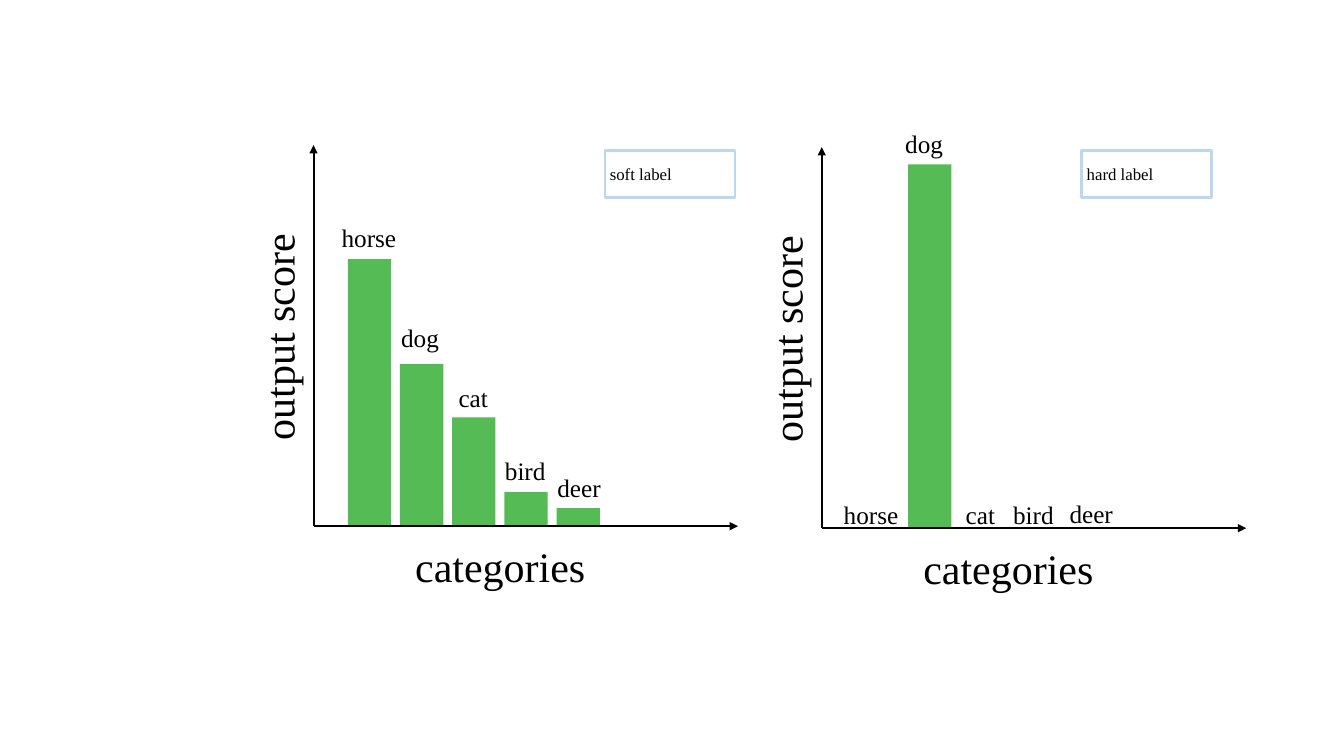
from dataclasses import dataclass

from lxml.etree import SubElement
from pptx import Presentation
from pptx.dml.color import RGBColor
from pptx.enum.shapes import MSO_CONNECTOR as Connector, MSO_SHAPE as Shape
from pptx.enum.text import MSO_ANCHOR as Anchor
from pptx.oxml.ns import qn
from pptx.shapes.shapetree import GroupShapes
from pptx.util import Inches, Pt

COLORS = {"bar": "55BB55", "ink": "000000", "legend": "BDD7EE"}
FONT = "Times New Roman"
BAR_WIDTH = 0.43
BAR_PITCH = 2.07 / 4
FIRST_BAR = 0.34
AXIS_WIDTH, AXIS_HEIGHT = 4.21, 3.78


@dataclass
class Category:
    name: str
    score: float  # bar height in inches
    left: float
    top: float
    width: float


@dataclass
class Panel:
    legend: str
    legend_left: float
    origin_x: float
    origin_y: float
    categories: list[Category]


PANELS = [
    Panel("soft label", 6.0, 3.11, 5.22, [
        Category("horse", 2.65, 3.29, 2.16, 1.06),
        Category("dog", 1.61, 3.88, 3.15, 1.06),
        Category("cat", 1.08, 4.45, 3.74, 0.53),
        Category("bird", 0.34, 4.91, 4.47, 0.76),
        Category("deer", 0.18, 5.43, 4.64, 0.76),
    ]),
    Panel("hard label", 10.73, 8.15, 5.24, [
        Category("horse", 0, 8.27, 4.9, 1.06),
        Category("dog", 3.61, 8.88, 1.22, 0.59),
        Category("cat", 0, 9.48, 4.9, 0.53),
        Category("bird", 0, 9.95, 4.9, 0.76),
        Category("deer", 0, 10.51, 4.89, 0.76),
    ]),
]


def color(name: str) -> RGBColor:
    return RGBColor.from_string(COLORS[name])


def add_text(shapes: GroupShapes, text: str, left: float, top: float,
             width: float, height: float, size: float, rotation: float = 0) -> None:
    box = shapes.add_textbox(Inches(left), Inches(top), Inches(width), Inches(height))
    box.rotation = rotation
    frame = box.text_frame
    frame.word_wrap = True
    frame.vertical_anchor = Anchor.MIDDLE
    frame.text = text
    font = frame.paragraphs[0].runs[0].font
    font.name, font.size = FONT, Pt(size)
    font.color.rgb = color("ink")


def add_rectangle(shapes: GroupShapes, left: float, top: float, width: float,
                  height: float, fill: str = "", line: str = "") -> None:
    shape = shapes.add_shape(Shape.RECTANGLE, Inches(left), Inches(top),
                             Inches(width), Inches(height))
    shape.shadow.inherit = False
    if fill:
        shape.fill.solid()
        shape.fill.fore_color.rgb = color(fill)
    else:
        shape.fill.background()
    if line:
        shape.line.color.rgb = color(line)
        shape.line.width = Pt(2)
    else:
        shape.line.fill.background()


def add_axis(shapes: GroupShapes, x: float, y: float, end_x: float, end_y: float) -> None:
    axis = shapes.add_connector(Connector.STRAIGHT, Inches(x), Inches(y),
                                Inches(end_x), Inches(end_y))
    axis.line.color.rgb = color("ink")
    axis.line.width = Pt(1.5)
    properties = axis.element.spPr
    SubElement(properties.find(qn("a:ln")), qn("a:tailEnd"), type="triangle")
    SubElement(properties, qn("a:effectLst"))


def add_panel(shapes: GroupShapes, panel: Panel) -> None:
    x, y = panel.origin_x, panel.origin_y

    # Bars
    for index, category in enumerate(panel.categories):
        if category.score:
            add_rectangle(shapes, x + FIRST_BAR + index * BAR_PITCH, y - category.score,
                          BAR_WIDTH, category.score, fill="bar")

    # Axes
    add_axis(shapes, x, y, x, y - AXIS_HEIGHT)
    add_axis(shapes, x, y, x + AXIS_WIDTH, y)

    # Category names
    for category in panel.categories:
        add_text(shapes, category.name, category.left, category.top, category.width, 0.4, 18)

    # Axis titles
    add_text(shapes, "output score", x - 1.62, y - 2.37, 2.53, 0.7, 30, rotation=270)
    add_text(shapes, "categories", x + 0.91, y + 0.04, 2.53, 0.7, 30)

    # Legend
    add_rectangle(shapes, panel.legend_left, 1.49, 1.29, 0.47, line="legend")
    add_text(shapes, panel.legend, panel.legend_left - 0.05, 1.57, 0.91, 0.3, 12)


def main() -> None:
    presentation = Presentation()
    presentation.slide_width = Inches(13.33)
    presentation.slide_height = Inches(7.5)
    slide = presentation.slides.add_slide(presentation.slide_layouts[6])
    for panel in PANELS:
        add_panel(slide.shapes.add_group_shape().shapes, panel)
    presentation.save("out.pptx")


if __name__ == "__main__":
    main()
